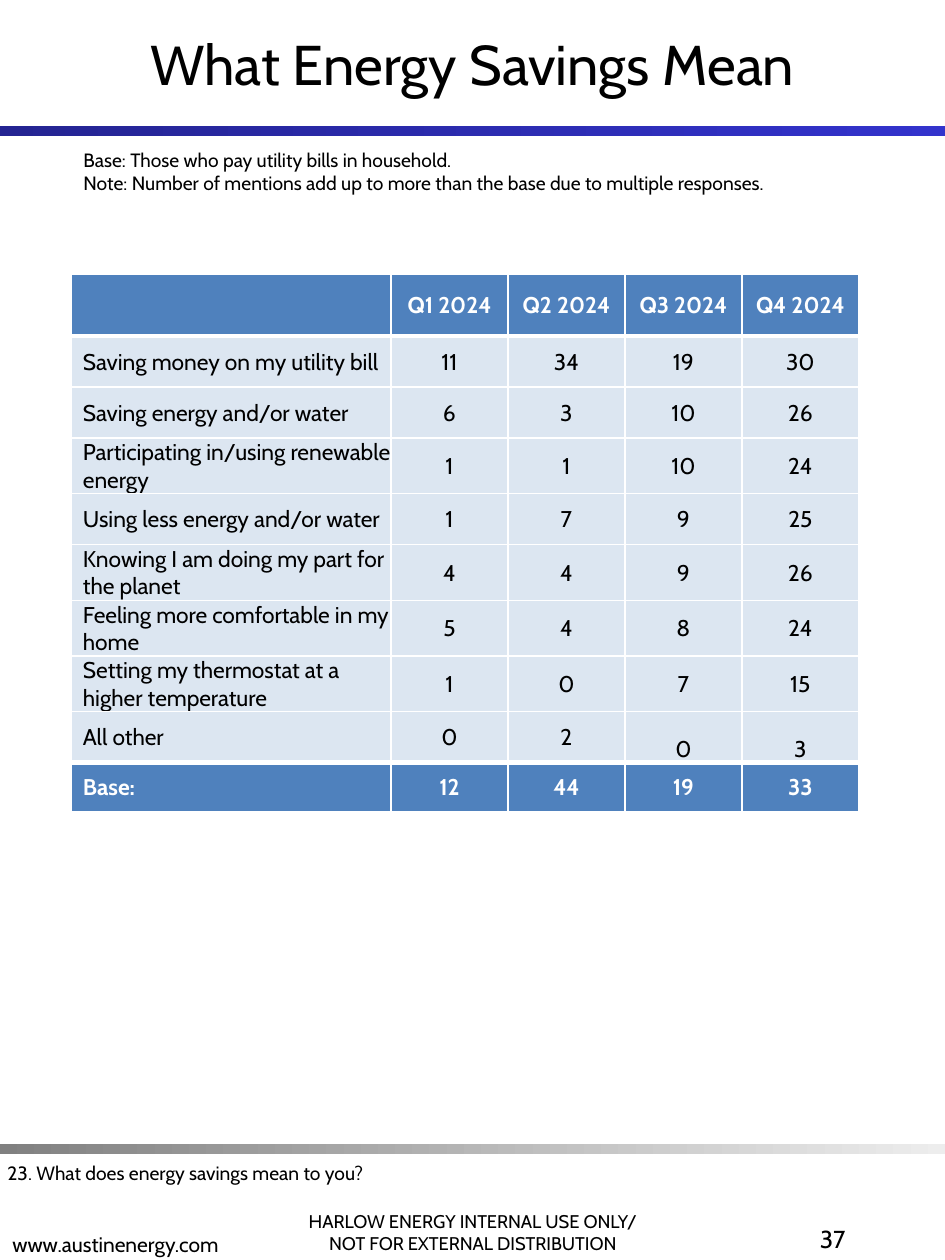
from lxml.etree import SubElement
from pptx import Presentation
from pptx.dml.color import RGBColor
from pptx.enum.shapes import MSO_SHAPE
from pptx.enum.text import MSO_ANCHOR, PP_ALIGN
from pptx.oxml import parse_xml
from pptx.oxml.ns import nsdecls, qn
from pptx.util import Emu, Pt

EMU_PER_PX = 914400 / 126
FONT = "Cabin"
BLACK, WHITE, BLUE, PALE = "000000", "FFFFFF", "4F81BD", "DCE6F1"
LEFT, CENTER, RIGHT = PP_ALIGN.LEFT, PP_ALIGN.CENTER, PP_ALIGN.RIGHT
TOP, MIDDLE, BOTTOM = MSO_ANCHOR.TOP, MSO_ANCHOR.MIDDLE, MSO_ANCHOR.BOTTOM

ROWS = [
    ["", "Q1 2024", "Q2 2024", "Q3 2024", "Q4 2024"],
    ["Saving money on my utility bill", 11, 34, 19, 30],
    ["Saving energy and/or water", 6, 3, 10, 26],
    ["Participating in/using renewable energy", 1, 1, 10, 24],
    ["Using less energy and/or water", 1, 7, 9, 25],
    ["Knowing I am doing my part for the planet", 4, 4, 9, 26],
    ["Feeling more comfortable in my home", 5, 4, 8, 24],
    ["Setting my thermostat at a higher temperature", 1, 0, 7, 15],
    ["All other", 0, 2, 0, 3],
    ["Base:", 12, 44, 19, 33],
]
LAST = len(ROWS) - 1
COLUMN_WIDTHS = [320] + [117] * 4
ROW_HEIGHTS = [62] + [51] * (LAST - 1) + [49]


def px(length):
    return Emu(round(length * EMU_PER_PX))


def color(value):
    return RGBColor.from_string(value)


def apply(target, values):
    for name, value in values.items():
        setattr(target, name, value)


def place(shape, left, top, width, height):
    apply(shape, {"left": px(left), "top": px(top), "width": px(width), "height": px(height)})


def write(frame, lines, size, align=LEFT, ink=BLACK, bold=False):
    for index, line in enumerate(lines):
        para = frame.paragraphs[0] if index == 0 else frame.add_paragraph()
        para.alignment = align
        span = para.add_run()
        span.text = line
        apply(span.font, {"name": FONT, "size": Pt(size), "bold": bold})
        span.font.color.rgb = color(ink)


def add_title(page, text):
    title = page.shapes.title
    place(title, 0, 0, 945, 126)
    title.text_frame.vertical_anchor = MIDDLE
    write(title.text_frame, [text], 32, CENTER)


def add_text(page, area, lines, size, align=LEFT, anchor=TOP):
    box = page.shapes.add_textbox(*map(px, area))
    apply(box.text_frame, {"word_wrap": True, "vertical_anchor": anchor})
    write(box.text_frame, lines, size, align)


def add_band(page, top, colors):
    band = page.shapes.add_shape(MSO_SHAPE.RECTANGLE, px(0), px(top), px(945), px(10))
    band.shadow.inherit = False
    band.line.fill.background()
    band.fill.gradient()
    band.fill.gradient_angle = 0
    for position, (stop, value) in enumerate(zip(band.fill.gradient_stops, colors)):
        stop.position = position
        stop.color.rgb = color(value)


def set_borders(cell, row):
    widths = {
        "lnL": 1,
        "lnR": 1,
        "lnT": 3 if row in (1, LAST) else 1,
        "lnB": 3 if row in (0, LAST - 1) else 1,
    }
    properties = cell._tc.get_or_add_tcPr()
    for index, (tag, width) in enumerate(widths.items()):
        line = parse_xml(f'<a:{tag} {nsdecls("a")} w="{Pt(width)}"/>')
        fill = SubElement(line, qn("a:solidFill"))
        SubElement(fill, qn("a:srgbClr"), val=WHITE)
        properties.insert(index, line)


def format_cell(cell, row, column, value):
    strong = row in (0, LAST)
    lowered = row == LAST - 1 and column > 2
    apply(cell, {
        "margin_left": px(1 if column else 12),
        "margin_right": px(1),
        "margin_top": px(1),
        "margin_bottom": px(0),
        "vertical_anchor": BOTTOM if lowered else MIDDLE,
    })
    cell.fill.solid()
    cell.fill.fore_color.rgb = color(BLUE if strong else PALE)
    set_borders(cell, row)
    if value != "":
        align = CENTER if column else LEFT
        write(cell.text_frame, [str(value)], 13, align, WHITE if strong else BLACK, strong)


def add_results(page):
    area = (71, 274, sum(COLUMN_WIDTHS), sum(ROW_HEIGHTS))
    table = page.shapes.add_table(len(ROWS), len(COLUMN_WIDTHS), *map(px, area)).table
    for column, width in zip(table.columns, COLUMN_WIDTHS):
        column.width = px(width)
    for row, height in zip(table.rows, ROW_HEIGHTS):
        row.height = px(height)
    for row, values in enumerate(ROWS):
        for column, value in enumerate(values):
            format_cell(table.cell(row, column), row, column, value)


def main():
    deck = Presentation()
    apply(deck, {"slide_width": px(945), "slide_height": px(1260)})
    page = deck.slides.add_slide(deck.slide_layouts[5])
    add_band(page, 126, ["242492", "3333CC"])
    add_band(page, 1144, ["808080", "EDEDED"])
    add_text(page, (272, 1176, 402, 84),
             ["HARLOW ENERGY INTERNAL USE ONLY/", "NOT FOR EXTERNAL DISTRIBUTION"],
             10.5, CENTER, BOTTOM)
    add_text(page, (0, 1179, 402, 84), ["www.austinenergy.com"], 12, LEFT, BOTTOM)
    add_title(page, "What Energy Savings Mean")
    add_text(page, (662, 1218, 196, 84), ["37"], 14, RIGHT)
    add_text(page, (-5, 1155, 863, 36), ["23. What does energy savings mean to you?"], 11)
    add_results(page)
    add_text(page, (71, 142, 751, 59),
             ["Base: Those who pay utility bills in household.",
              "Note: Number of mentions add up to more than the base due to multiple responses."],
             11)
    deck.save("out.pptx")


if __name__ == "__main__":
    main()
